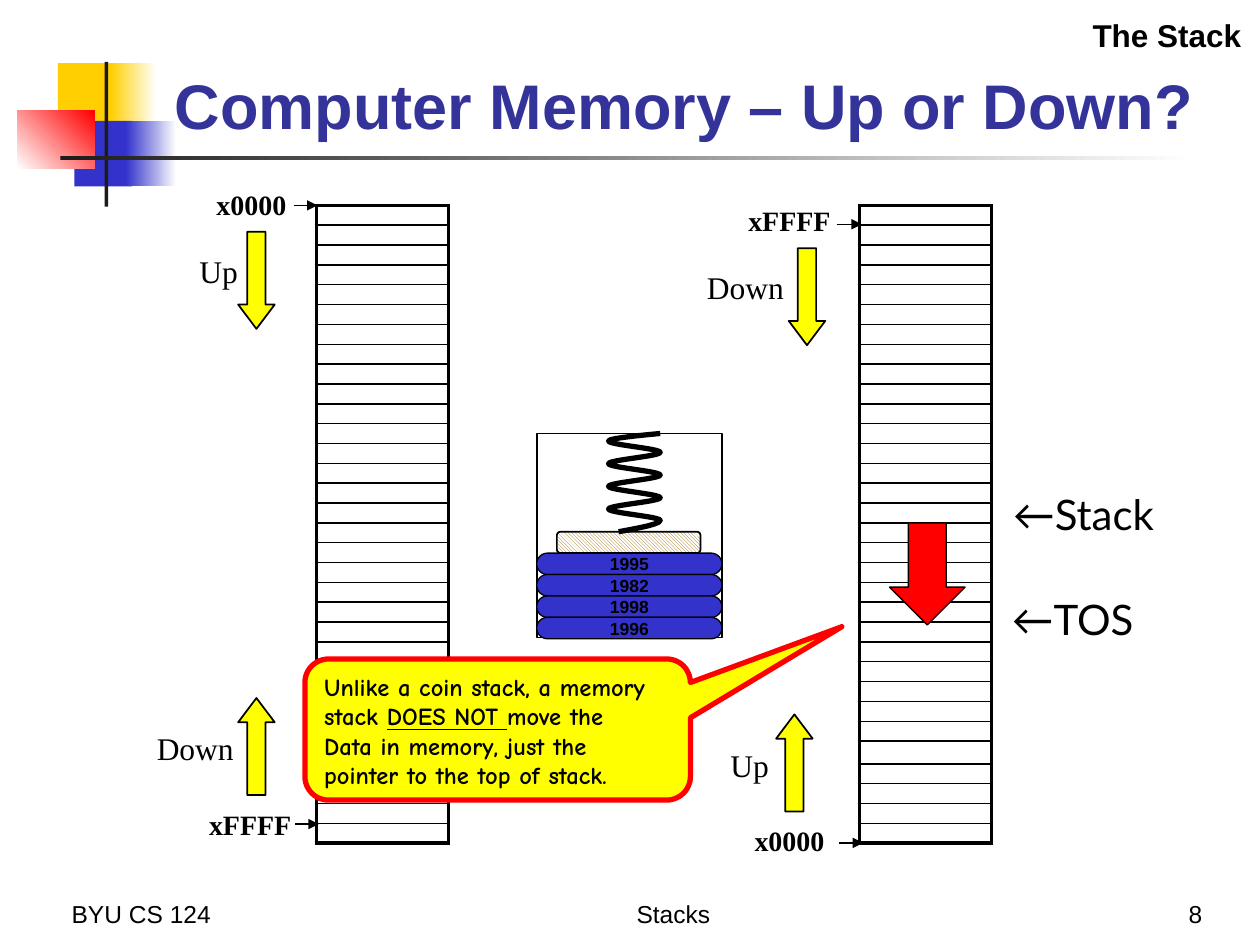
from lxml import etree
from pptx import Presentation
from pptx.dml.color import RGBColor
from pptx.enum import dml, shapes, text
from pptx.oxml import ns
from pptx import util as u

PX = 9144
HUE = {"black": "000000", "white": "FFFFFF", "ink": "1C1C1C", "gold": "FFCF01", "blue": "3333CC",
       "red": "FF0000", "navy": "333399", "yellow": "FFFF00", "brown": "996600"}
KIND = shapes.MSO_SHAPE
SIDE = {"l": text.PP_ALIGN.LEFT, "c": text.PP_ALIGN.CENTER, "r": text.PP_ALIGN.RIGHT}
ROWS = 32


def px(*nums):
    """Turn px into EMU."""
    return [u.Emu(round(n * PX)) for n in nums]


def rgb(name):
    """Look up a colour."""
    return RGBColor.from_string(HUE[name])


def add(root, tag, **attrs):
    """Append a drawing element."""
    return etree.SubElement(root, ns.qn(tag), attrs)


def write(frame, lines, size=18, font="Arial", color="black", bold=False, side="l",
          anchor=text.MSO_ANCHOR.TOP, wrap=True):
    """Fill a frame with lines, each a list of (words, underline) or a string."""
    frame.word_wrap = wrap
    frame.vertical_anchor = anchor
    for i, line in enumerate(lines):
        para = frame.paragraphs[0] if i == 0 else frame.add_paragraph()
        para.alignment = SIDE[side]
        for words, under in [(line, False)] if isinstance(line, str) else line:
            run = para.add_run()
            run.text = words
            face = run.font
            face.name, face.size, face.bold = font, u.Pt(size), bold
            face.underline = under
            face.color.rgb = rgb(color)


def label(on, box, words, **style):
    """Add a text box with one line."""
    write(on.add_textbox(*px(*box)).text_frame, [words], **style)


def shape(on, kind, box, fill, line=None, width=1, adj=()):
    """Add a plain preset shape."""
    item = on.add_shape(kind, *px(*box))
    item.shadow.inherit = False
    item.fill.solid()
    item.fill.fore_color.rgb = rgb(fill)
    if line:
        item.line.color.rgb = rgb(line)
        item.line.width = u.Pt(width)
    else:
        item.line.fill.background()
    for i, value in enumerate(adj):
        item.adjustments[i] = value
    return item


def fade(on, box, start, end, angle=0):
    """Add a rectangle with a gradient."""
    fill = shape(on, KIND.RECTANGLE, box, start).fill
    fill.gradient()
    fill.gradient_angle = angle
    for stop, name in zip(fill.gradient_stops, (start, end)):
        stop.color.rgb = rgb(name)


def motif(on, x, y):
    """Draw the coloured blocks and rules by the title."""
    shape(on, KIND.RECTANGLE, (x + 32, y + 1, 48, 52), "gold")
    fade(on, (x + 74, y + 1, 36, 52), "gold", "white")
    shape(on, KIND.RECTANGLE, (x + 45, y + 47, 46, 52), "blue")
    fade(on, (x + 86, y + 47, 40, 52), "blue", "white")
    fade(on, (x, y + 39, 61, 46), "white", "red", 45)
    shape(on, KIND.RECTANGLE, (x + 69, y, 3, 115), "ink")
    fade(on, (x + 34, y + 75, 900, 3), "ink", "white")


def footer(on, y):
    """Write the three footer parts."""
    for x, w, words, side in ((47, 208, "BYU CS 124", "l"), (278, 513, "Stacks", "c"), (756, 208, "8", "r")):
        label(on, (x, y, w, 50), words, size=14, side=side, anchor=text.MSO_ANCHOR.BOTTOM)


def edge(cell, first, last):
    """Draw the four borders of a memory cell."""
    props = cell._tc.get_or_add_tcPr()
    sides = {"L": 2.25, "R": 2.25, "T": 2.25 if first else 1, "B": 2.25 if last else 1}
    for i, (side, width) in enumerate(sides.items()):
        line = add(props, f"a:ln{side}", w=str(u.Pt(width)))
        add(add(line, "a:solidFill"), "a:srgbClr", val=HUE["black"])
        props.insert(i, line)


def memory(on, x, y, w, h, tall=18):
    """Draw a column of memory cells."""
    grid = on.add_table(ROWS, 1, *px(x, y, w, h)).table
    grid.first_row = grid.horz_banding = False
    for i, row in enumerate(grid.rows):
        row.height = px(tall if i == 27 else (h - tall) / (ROWS - 1))[0]
        cell = row.cells[0]
        cell.margin_left = cell.margin_right = cell.margin_top = cell.margin_bottom = 0
        cell.fill.background()
        add(cell.text_frame.paragraphs[0]._p, "a:endParaRPr", sz="400")
        edge(cell, i == 0, i == ROWS - 1)


def address(on, box, words, start, end, y):
    """Label an address and point at its cell."""
    label(on, box, words, size=16, font="Times New Roman", bold=True, side="c")
    line = on.add_connector(shapes.MSO_CONNECTOR.STRAIGHT, *px(start, y, end, y))
    line.line.color.rgb = rgb("black")
    line.line.width = u.Pt(0.75)
    add(line.line._get_or_add_ln(), "a:tailEnd", type="triangle")
    add(line._element.spPr, "a:effectLst")


def trend(on, x, y, kind, words, box, side):
    """Draw a yellow arrow with its direction word."""
    group = on.add_group_shape().shapes
    shape(group, kind, (x, y, 29, 77), "yellow", "black", adj=(0.5, 0.664))
    label(group, box, words, font="Times New Roman", side=side)


def coil(on, x, y):
    """Draw the spring upward from its foot."""
    knots = [(x - 33, y + 9)]
    knots += [(x + (33 if i % 2 == 0 else -8), y - 9 - 9 * i) for i in range(8)]
    knots += [(x + 74, y - 84)]
    dots = []
    for (ax, ay), (bx, by) in zip(knots, knots[1:]):
        for t in (i / 12 for i in range(12)):
            dots.append((ax + (bx - ax) * t * t * (3 - 2 * t), ay + (by - ay) * t))
    dots = [px(*dot) for dot in dots[6:-5]]
    pen = on.build_freeform(*dots[0], scale=1.0)
    pen.add_line_segments(dots[1:], close=False)
    wire = pen.convert_to_shape()
    wire.shadow.inherit = False
    wire.fill.background()
    wire.line.color.rgb = rgb("black")
    wire.line.width = u.Pt(3)


def coins(on, x, y, w, h):
    """Draw the spring-loaded coin stack."""
    group = on.add_group_shape().shapes
    shape(group, KIND.RECTANGLE, (x, y, w, h), "white", "black")
    fill = shape(group, KIND.ROUNDED_RECTANGLE, (x + 16, y + 78, w - 33, 17), "white", "black", adj=[0.167]).fill
    fill.patterned()
    fill.pattern = dml.MSO_PATTERN.DARK_DOWNWARD_DIAGONAL
    fill.fore_color.rgb, fill.back_color.rgb = rgb("brown"), rgb("white")
    coil(group, x + 65, y + 78)
    for i, year in enumerate(("1995", "1982", "1998", "1996")):
        coin = shape(group, KIND.ROUNDED_RECTANGLE, (x, y + 95 + 17 * i, w, 17), "blue", "black", 0.75, [0.5])
        write(coin.text_frame, [year], size=10, bold=True, side="c", anchor=text.MSO_ANCHOR.MIDDLE, wrap=False)


def note(on, *box):
    """Draw the callout about the stack pointer."""
    item = shape(on, KIND.ROUNDED_RECTANGULAR_CALLOUT, box, "yellow", "red", 3, (0.893, -0.729, 0.167))
    lines = ["Unlike a coin stack, a memory",
             [("stack ", False), ("DOES NOT ", True), ("move the", False)],
             "Data in memory, just the", "pointer to the top of stack."]
    write(item.text_frame, lines, size=14, font="Comic Neue", bold=True)


def growth(on, x, y):
    """Draw the red arrow from stack base to its top."""
    group = on.add_group_shape().shapes
    label(group, (x + 88, y - 32, 162, 50), "←Stack", size=24, font="Lato")
    shape(group, KIND.DOWN_ARROW, (x, y, 60, 81), "red", "black", 0.75)
    label(group, (x + 87, y + 51, 162, 50), "←TOS", size=24, font="Lato")


def main():
    """Build and save the slide."""
    deck = Presentation()
    deck.slide_width, deck.slide_height = px(1000, 750)
    on = deck.slides.add_slide(deck.slide_layouts[6]).shapes
    motif(on, 14, 49)
    footer(on, 692)
    label(on, (129, 23, 852, 95), "Computer Memory – Up or Down?", size=36, color="navy", bold=True,
          anchor=text.MSO_ANCHOR.BOTTOM)
    trend(on, 189, 184, KIND.DOWN_ARROW, "Up", (143, 195, 61, 40), "c")
    trend(on, 189, 554, KIND.UP_ARROW, "Down", (108, 574, 94, 40), "c")
    trend(on, 626, 197, KIND.DOWN_ARROW, "Down", (527, 208, 105, 40), "r")
    trend(on, 616, 567, KIND.UP_ARROW, "Up", (526, 587, 94, 40), "r")
    for x in (251, 682):
        memory(on, x, 163, 105, 507)
    address(on, (150, 144, 99, 37), "x0000", 233, 252, 163)
    address(on, (149, 636, 99, 37), "xFFFF", 234, 253, 654)
    address(on, (577, 157, 99, 37), "xFFFF", 664, 684, 178)
    address(on, (577, 649, 99, 37), "x0000", 666, 685, 669)
    label(on, (593, 8, 402, 40), "The Stack", bold=True, side="r")
    coins(on, 426, 344, 147, 162)
    note(on, 242, 523, 306, 112)
    growth(on, 706, 415)
    deck.save("out.pptx")


if __name__ == "__main__":
    main()
